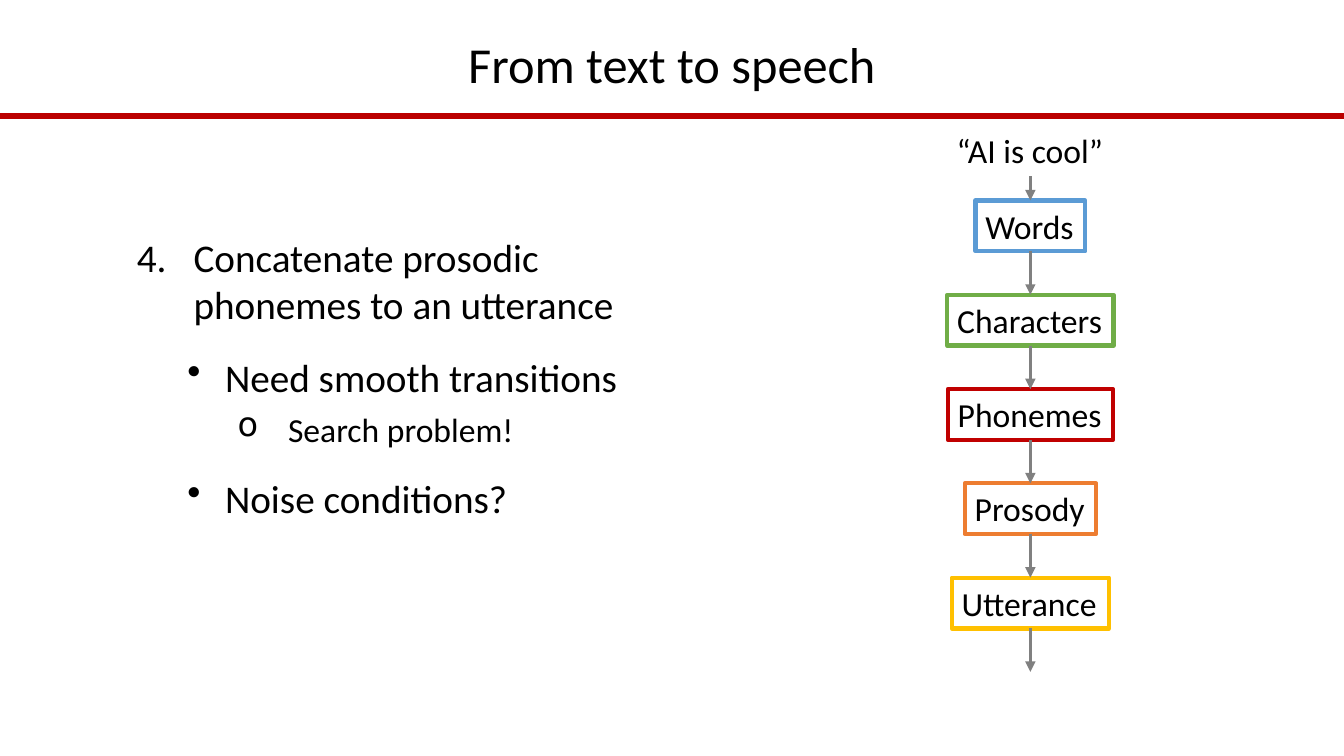
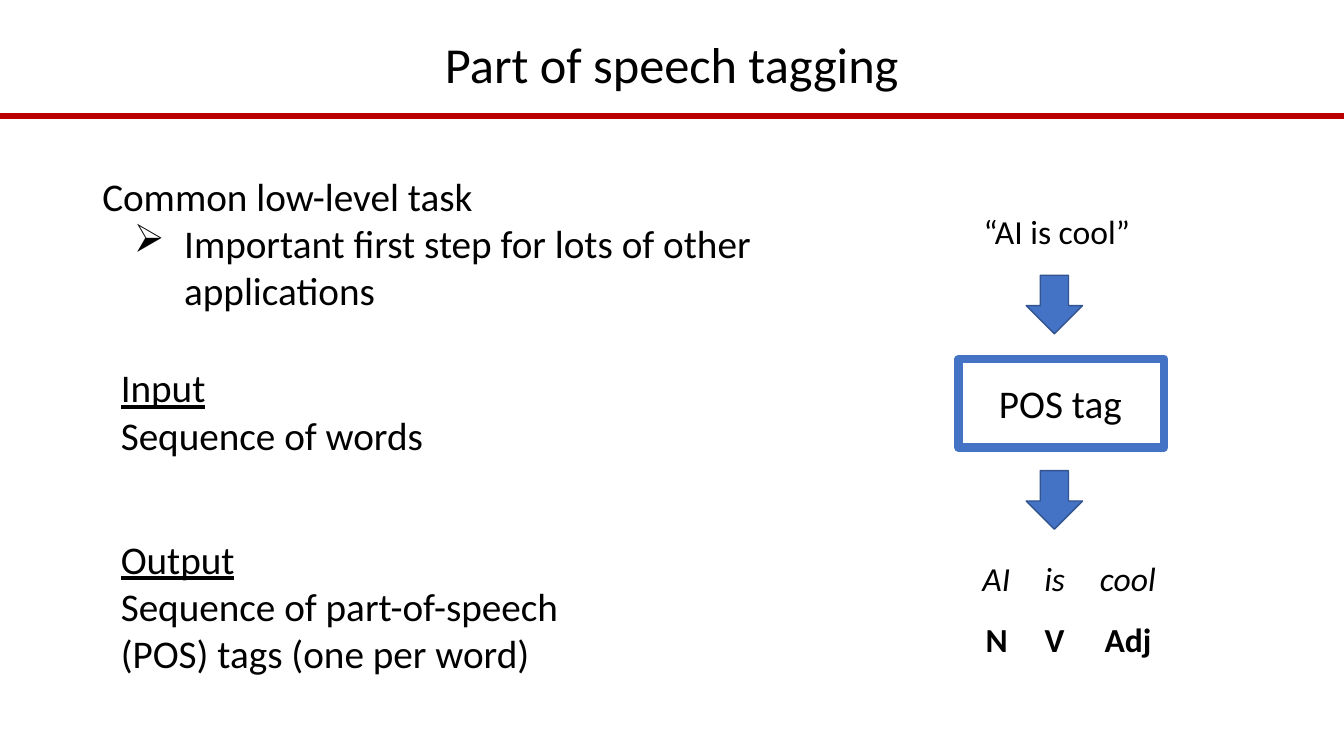
from dataclasses import dataclass, field

from lxml import etree
from pptx import Presentation
from pptx.dml.color import RGBColor
from pptx.enum.dml import MSO_THEME_COLOR
from pptx.enum.shapes import MSO_CONNECTOR, MSO_SHAPE
from pptx.enum.text import MSO_ANCHOR, MSO_AUTO_SIZE, PP_ALIGN
from pptx.oxml.ns import qn
from pptx.util import Pt

STRAIGHT = MSO_CONNECTOR.STRAIGHT
DOWN_ARROW = MSO_SHAPE.DOWN_ARROW
MIDDLE = MSO_ANCHOR.MIDDLE
GROW = MSO_AUTO_SIZE.SHAPE_TO_FIT_TEXT
CENTER = PP_ALIGN.CENTER
BOTTOM_SIDE, TOP_SIDE = 2, 0

FONT = "Calibri"
BLACK = RGBColor(0x00, 0x00, 0x00)
RULE_RED = RGBColor(0xBB, 0x00, 0x00)
GRAY = RGBColor(0x80, 0x80, 0x80)
SKY = RGBColor(0x5B, 0x9B, 0xD5)
GREEN = RGBColor(0x70, 0xAD, 0x47)
RED = RGBColor(0xC0, 0x00, 0x00)
ORANGE = RGBColor(0xED, 0x7D, 0x31)
GOLD = RGBColor(0xFF, 0xC0, 0x00)
BLUE = RGBColor(0x44, 0x72, 0xC4)
DARK_BLUE = RGBColor(0x32, 0x54, 0x91)

SLIDE_W, SLIDE_H = 960, 540
RULE_Y = 82.8
LABEL_H = 36.35
QUOTE, QUOTE_W = "“AI is cool”", 119.5


@dataclass
class Para:
    text: str
    size: float = 28
    fmt: dict = field(default_factory=dict)  # font attributes
    layout: dict = field(default_factory=dict)  # paragraph attributes
    bullet: str = ""
    start: int = 0  # first number of a numbered list
    margin: float = 0
    hang: float = 0


@dataclass
class Stage:
    text: str
    width: float
    color: RGBColor


@dataclass
class Tag:
    word: str
    word_w: float
    tag: str
    tag_w: float
    center: float


STAGES = [
    Stage("Words", 78.5, SKY),
    Stage("Characters", 118.8, GREEN),
    Stage("Phonemes", 118, RED),
    Stage("Prosody", 93.6, ORANGE),
    Stage("Utterance", 112.3, GOLD),
]
TAGS = [
    Tag("AI", 34.6, "N", 30.2, 712),
    Tag("is", 29.5, "V", 28.8, 753.6),
    Tag("cool", 54.7, "Adj", 48.2, 806),
]


def set_attrs(obj, values: dict) -> None:
    for name, value in values.items():
        setattr(obj, name, value)


def add_bullet(p, para: Para) -> None:
    pPr = p._p.get_or_add_pPr()
    pPr.set("marL", str(Pt(para.margin)))
    pPr.set("indent", str(-Pt(para.hang)))
    if para.start:
        bu = etree.SubElement(pPr, qn("a:buAutoNum"))
        bu.set("type", "arabicPeriod")
        bu.set("startAt", str(para.start))
    else:
        etree.SubElement(pPr, qn("a:buChar")).set("char", para.bullet)


def add_text(s, x: float, y: float, w: float, h: float, paras: list[Para], **frame):
    sp = s.shapes.add_textbox(Pt(x), Pt(y), Pt(w), Pt(h))
    tf = sp.text_frame
    set_attrs(tf, {"word_wrap": True, **frame})
    for i, para in enumerate(paras):
        p = tf.paragraphs[0] if i == 0 else tf.add_paragraph()
        set_attrs(p, para.layout)
        if para.bullet or para.start:
            add_bullet(p, para)
        r = p.add_run()
        r.text = para.text
        set_attrs(r.font, {"name": FONT, "size": Pt(para.size), **para.fmt})
        r.font.color.rgb = BLACK
    return sp


def add_label(s, center: float, y: float, w: float, para: Para, h: float = LABEL_H, **frame):
    """One unwrapped line of text, centred on a vertical axis."""
    return add_text(s, center - w / 2, y, w, h, [para],
                    **{"word_wrap": False, "auto_size": GROW, **frame})


def set_line(sp, color: RGBColor, width: float) -> None:
    sp.line.color.rgb = color
    sp.line.width = Pt(width)


def add_line(s, x1: float, y1: float, x2: float, y2: float, color: RGBColor, width: float):
    cx = s.shapes.add_connector(STRAIGHT, Pt(x1), Pt(y1), Pt(x2), Pt(y2))
    set_line(cx, color, width)
    etree.SubElement(cx._element.spPr, qn("a:effectLst"))
    return cx


def add_arrow(s, x: float, y1: float, y2: float):
    cx = add_line(s, x, y1, x, y2, GRAY, 2.5)
    etree.SubElement(cx.line._get_or_add_ln(), qn("a:tailEnd")).set("type", "triangle")
    return cx


def add_slide(prs, title: str):
    s = prs.slides.add_slide(prs.slide_layouts[6])
    add_line(s, 0, RULE_Y, SLIDE_W, RULE_Y, RULE_RED, 4)
    add_text(s, 66, 24.5, 828, 47.5,
             [Para(title, 36, layout={"alignment": CENTER, "line_spacing": 0.9})],
             vertical_anchor=MIDDLE)
    return s


def text_to_speech(prs) -> None:
    s = add_slide(prs, "From text to speech")

    # Explanation
    bullet = {"bullet": "•", "margin": 63, "hang": 27,
              "layout": {"level": 1, "space_before": Pt(18)}}
    add_text(s, 90.7, 163.4, 376, 219.6, [
        Para("Concatenate prosodic phonemes to an utterance", start=4, margin=40.5, hang=40.5),
        Para("Need smooth transitions", **bullet),
        Para("Search problem!", 24, bullet="o", margin=108, hang=36,
             layout={"level": 2, "space_before": Pt(6)}),
        Para("Noise conditions?", **bullet),
    ], auto_size=GROW)

    # Pipeline
    axis, top, step = 736, 143.2, 67.35
    above = add_label(s, axis, 89.5, QUOTE_W, Para(QUOTE, 24))
    for i, stage in enumerate(STAGES):
        y = top + i * step
        box = add_label(s, axis, y, stage.width, Para(stage.text, 24))
        set_line(box, stage.color, 3)
        cx = add_arrow(s, axis, y - step + LABEL_H, y)
        cx.begin_connect(above, BOTTOM_SIDE)
        cx.end_connect(box, TOP_SIDE)
        above = box
    end = top + len(STAGES) * step
    add_arrow(s, axis, end - step + LABEL_H, end).begin_connect(above, BOTTOM_SIDE)


def pos_tagging(prs) -> None:
    s = add_slide(prs, "Part of speech tagging")

    # Explanation
    add_text(s, 66, 119.5, 576, 115, [
        Para("Common low-level task"),
        Para("Important first step for lots of other applications",
             bullet="➢", margin=58.5, hang=36),
    ])
    for heading, body, y, w, h in [
        ("Input", "Sequence of words", 256.3, 232.5, 75),
        ("Output", "Sequence of part-of-speech (POS) tags (one per word)", 378.7, 360, 109),
    ]:
        add_text(s, 79.2, y, w, h,
                 [Para(heading, fmt={"underline": True}), Para(body)], auto_size=GROW)

    # Tagger with its input
    add_label(s, 755.3, 146.9, QUOTE_W, Para(QUOTE, 24))
    box = add_label(s, 758.2, 256.3, 146.9, Para("POS tag"), 63.4,
                    margin_left=Pt(28.8), margin_right=Pt(28.8),
                    margin_top=Pt(14.4), margin_bottom=Pt(14.4))
    set_line(box, BLUE, 6)
    for y in (196.6, 336.2):
        sp = s.shapes.add_shape(DOWN_ARROW, Pt(733), Pt(y), Pt(40.3), Pt(41.8))
        sp.shadow.inherit = False
        sp.fill.solid()
        sp.fill.fore_color.rgb = BLUE
        set_line(sp, DARK_BLUE, 1)

    # Tagged words
    for t in TAGS:
        add_label(s, t.center, 395.3, t.word_w, Para(t.word, 24, {"italic": True}))
        add_label(s, t.center, 438.5, t.tag_w, Para(t.tag, 24, {"bold": True}))


def main() -> None:
    prs = Presentation()
    prs.slide_width, prs.slide_height = Pt(SLIDE_W), Pt(SLIDE_H)
    text_to_speech(prs)
    pos_tagging(prs)
    prs.save("out.pptx")


if __name__ == "__main__":
    main()
